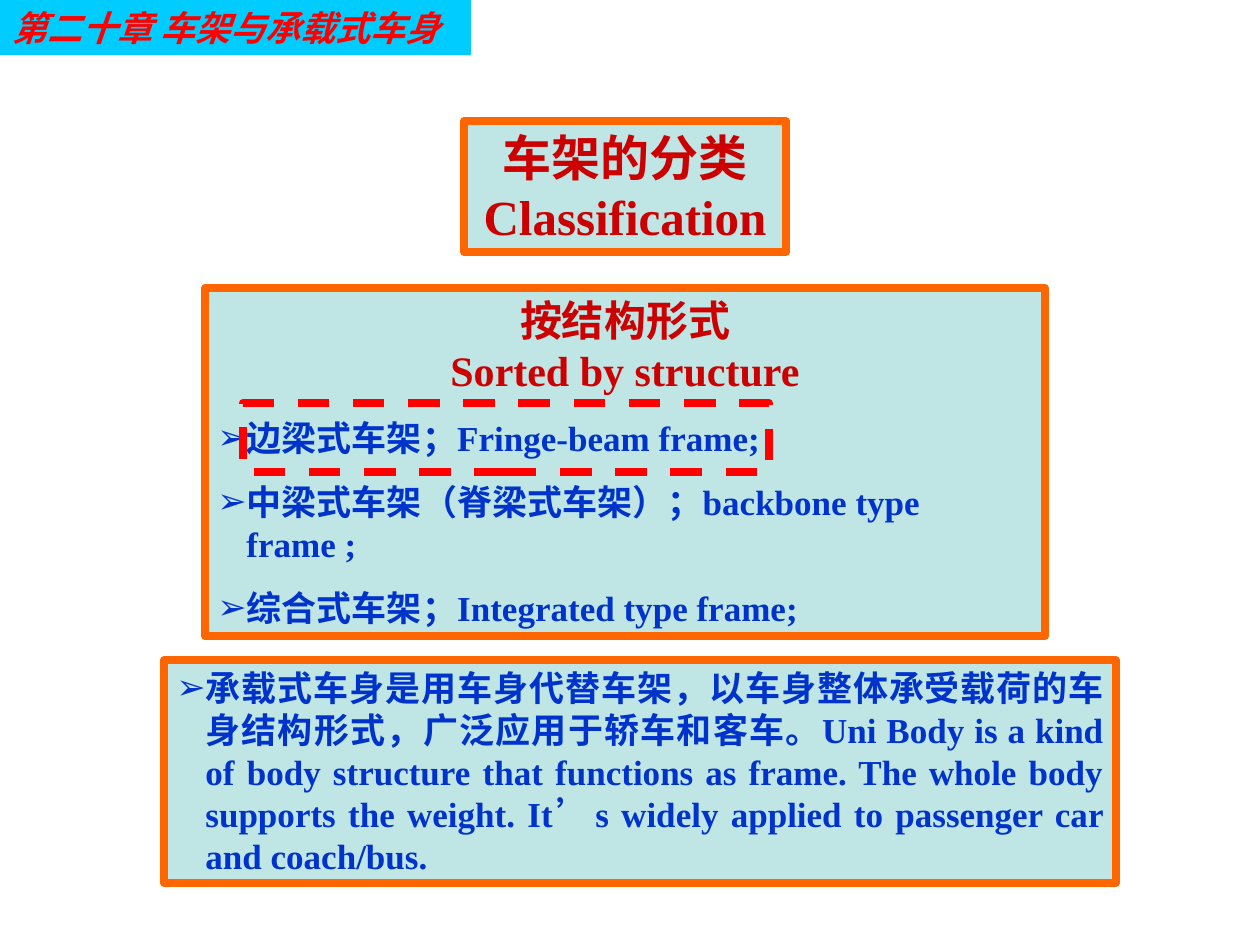
from lxml import etree
from pptx import Presentation
from pptx.dml.color import RGBColor
from pptx.enum.dml import MSO_LINE
from pptx.enum.shapes import MSO_SHAPE
from pptx.enum.text import MSO_ANCHOR, PP_ALIGN
from pptx.oxml.ns import qn
from pptx.util import Emu, Pt

RECT = MSO_SHAPE.RECTANGLE
DASH = MSO_LINE.DASH
TOP = MSO_ANCHOR.TOP
LEFT, CENTER, JUSTIFY = PP_ALIGN.LEFT, PP_ALIGN.CENTER, PP_ALIGN.JUSTIFY

SCALE = 914400 / 126
HANGING = 29
BORDER = 4.5
COLORS = {
    "banner": "00CCFF",
    "panel": "009999",
    "border": "FF6600",
    "heading": "CC0000",
    "body": "0033CC",
    "accent": "FF0000",
}


def px(length):
    return Emu(round(length * SCALE))


def rgb(name):
    return RGBColor.from_string(COLORS[name])


def add_bullet(paragraph, color):
    """Give the paragraph an arrow bullet and a hanging indent."""
    props = paragraph._p.get_or_add_pPr()
    props.set("marL", str(px(HANGING)))
    props.set("indent", str(-px(HANGING)))
    tint = etree.SubElement(props, qn("a:buClr"))
    etree.SubElement(tint, qn("a:srgbClr"), val=COLORS[color])
    etree.SubElement(props, qn("a:buFont"), typeface="Arial")
    etree.SubElement(props, qn("a:buChar"), char="➢")


def write(paragraph, text, size=20, color="body", font="Times New Roman",
          italic=False, align=LEFT, before=0, bullet=False):
    if bullet:
        add_bullet(paragraph, color)
    paragraph.alignment = align
    paragraph.space_before = Pt(before)
    run = paragraph.add_run()
    run.text = text
    run.font.size = Pt(size)
    run.font.name = font
    run.font.bold = True
    run.font.italic = italic
    run.font.color.rgb = rgb(color)


class FrameSlide:
    def __init__(self, slide):
        self.slide = slide

    def box(self, left, top, width, height, fill=None, border=None):
        shape = self.slide.shapes.add_shape(
            RECT, px(left), px(top), px(width), px(height))
        shape.shadow.inherit = False
        if fill:
            shape.fill.solid()
            shape.fill.fore_color.rgb = rgb(fill)
        else:
            shape.fill.background()
        if border:
            shape.line.color.rgb = rgb(border)
            shape.line.width = Pt(BORDER)
        else:
            shape.line.fill.background()
        return shape

    def fill_text(self, shape, lines):
        """Write (text, format) pairs as the paragraphs of a shape."""
        frame = shape.text_frame
        frame.word_wrap = True
        frame.vertical_anchor = TOP
        for index, (text, style) in enumerate(lines):
            paragraph = frame.add_paragraph() if index else frame.paragraphs[0]
            write(paragraph, text, **style)

    def banner(self, text, *place):
        self.fill_text(self.box(*place, fill="banner"), [
            (text, dict(color="accent", font="Arial", italic=True))])

    def panel(self, lines, *place):
        shape = self.box(*place, fill="panel", border="border")
        tint = shape.fill._xPr.find(qn("a:solidFill"))[0]
        etree.SubElement(tint, qn("a:alpha"), val="25000")
        self.fill_text(shape, lines)

    def highlight(self, *place):
        self.box(*place, border="accent").line.dash_style = DASH


def main():
    deck = Presentation()
    deck.slide_width, deck.slide_height = px(1260), px(945)
    page = FrameSlide(deck.slides.add_slide(deck.slide_layouts[6]))

    title = dict(size=28, color="heading", align=CENTER)
    heading = dict(size=24, color="heading", align=CENTER)
    item = dict(before=12.5, bullet=True)

    page.banner("第二十章 车架与承载式车身", 0, 0, 471, 55)
    page.panel([("车架的分类", title), ("Classification", title)],
               464, 121, 322, 131)
    page.panel([
        ("按结构形式", heading),
        ("Sorted by structure", heading),
        ("边梁式车架；Fringe-beam frame;", item),
        ("中梁式车架（脊梁式车架）；backbone type frame ;", item),
        ("综合式车架；Integrated type frame;", item),
    ], 205, 288, 840, 348)
    page.panel([(
        "承载式车身是用车身代替车架，以车身整体承受载荷的车身结构形式，"
        "广泛应用于轿车和客车。Uni Body is a kind of body structure that "
        "functions as frame. The whole body supports the weight. It’s widely "
        "applied to passenger car and coach/bus. ",
        dict(align=JUSTIFY, bullet=True),
    )], 164, 660, 952, 223)
    page.highlight(243, 403, 526, 69)

    deck.save("out.pptx")


if __name__ == "__main__":
    main()
